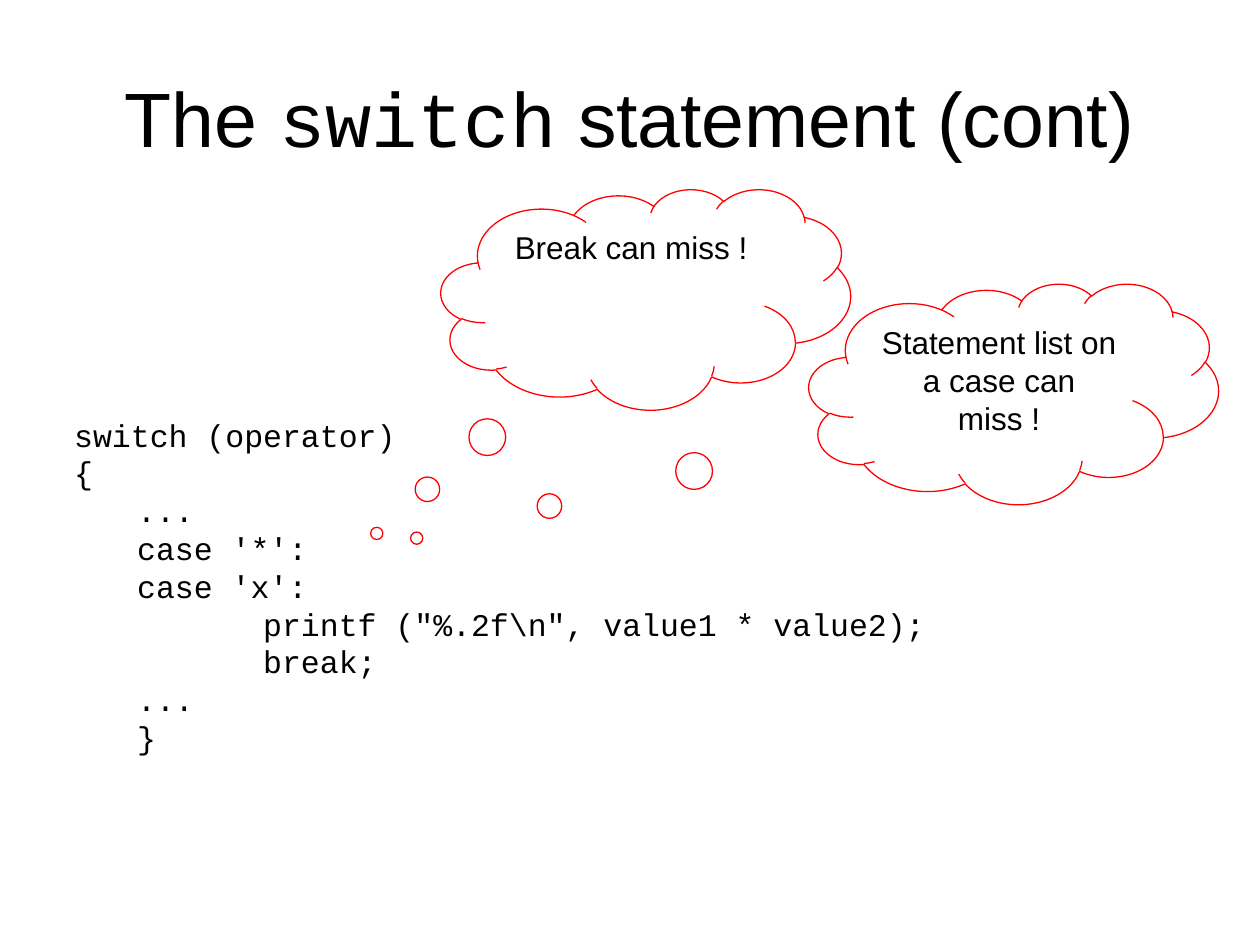
"""Build the slide on the switch statement with two thought clouds."""
from dataclasses import dataclass

from pptx import Presentation
from pptx.dml.color import RGBColor
from pptx.enum.shapes import MSO_SHAPE
from pptx.enum.text import MSO_ANCHOR, PP_ALIGN
from pptx.util import Inches, Pt

CLOUD = MSO_SHAPE.CLOUD_CALLOUT
TOP, MIDDLE = MSO_ANCHOR.TOP, MSO_ANCHOR.MIDDLE
LEFT, CENTER = PP_ALIGN.LEFT, PP_ALIGN.CENTER
COLORS = {"text": "000000", "cloud": "FF0000"}
SANS, MONO = "Arial", "Courier New"


@dataclass
class Thought:
    text: str
    left: float
    top: float
    tail: tuple[float, float]


@dataclass
class CodeLine:
    text: str
    indent: float = 0


TITLE = [("The ", SANS), ("switch", MONO), (" statement (cont)", SANS)]
CODE = [
    CodeLine("switch (operator)"),
    CodeLine("{"),
    CodeLine("...", 0.5),
    CodeLine("case '*':", 0.5),
    CodeLine("case 'x':", 0.5),
    CodeLine('printf ("%.2f\\n", value1 * value2);', 1.5),
    CodeLine("break;", 1.5),
    CodeLine("...", 0.5),
    CodeLine("}", 0.5),
]
THOUGHTS = [
    Thought("Break can miss !", 3.5, 1.5, (-0.657, 1.062)),
    Thought("Statement list on a case can miss !", 6.42, 2.25, (-1.458, 0.655)),
]


def style_run(r, font: str, size: float) -> None:
    """Set the font, size and colour of a run."""
    r.font.name = font
    r.font.size = Pt(size)
    r.font.color.rgb = RGBColor.from_string(COLORS["text"])


def add_title(s, parts: list[tuple[str, str]]) -> None:
    """Add the centred title with a font for each part."""
    tf = s.shapes.add_textbox(Inches(0.5), Inches(0.3), Inches(9), Inches(1.25)).text_frame
    tf.word_wrap = True
    tf.vertical_anchor = MIDDLE
    p = tf.paragraphs[0]
    p.alignment = CENTER
    for text, font in parts:
        r = p.add_run()
        r.text = text
        style_run(r, font, 44)


def add_code(s, lines: list[CodeLine]) -> None:
    """Add the code listing, one paragraph for each line."""
    tf = s.shapes.add_textbox(Inches(0.49), Inches(3.25), Inches(6.95), Inches(2.8)).text_frame
    tf.word_wrap = False
    tf.text = "\n".join(line.text for line in lines)
    for p, line in zip(tf.paragraphs, lines):
        p.alignment = LEFT
        pPr = p._p.get_or_add_pPr()
        pPr.set("marL", str(Inches(line.indent)))
        pPr.set("indent", "0")
        style_run(p.runs[0], MONO, 18)


def add_thought(s, thought: Thought) -> None:
    """Add an outlined thought cloud with its text."""
    sp = s.shapes.add_shape(CLOUD, Inches(thought.left), Inches(thought.top),
                            Inches(3.25), Inches(1.75))
    sp.adjustments[0], sp.adjustments[1] = thought.tail
    sp.shadow.inherit = False
    sp.fill.background()
    sp.line.color.rgb = RGBColor.from_string(COLORS["cloud"])
    sp.line.width = Pt(0.75)
    tf = sp.text_frame
    tf.word_wrap = True
    tf.vertical_anchor = TOP
    tf.text = thought.text
    p = tf.paragraphs[0]
    p.alignment = CENTER
    style_run(p.runs[0], SANS, 18)


def main() -> None:
    """Build and save the presentation."""
    prs = Presentation()
    prs.slide_width, prs.slide_height = Inches(10), Inches(7.5)
    s = prs.slides.add_slide(prs.slide_layouts[6])
    add_title(s, TITLE)
    add_code(s, CODE)
    for thought in THOUGHTS:
        add_thought(s, thought)
    prs.save("out.pptx")


if __name__ == "__main__":
    main()
